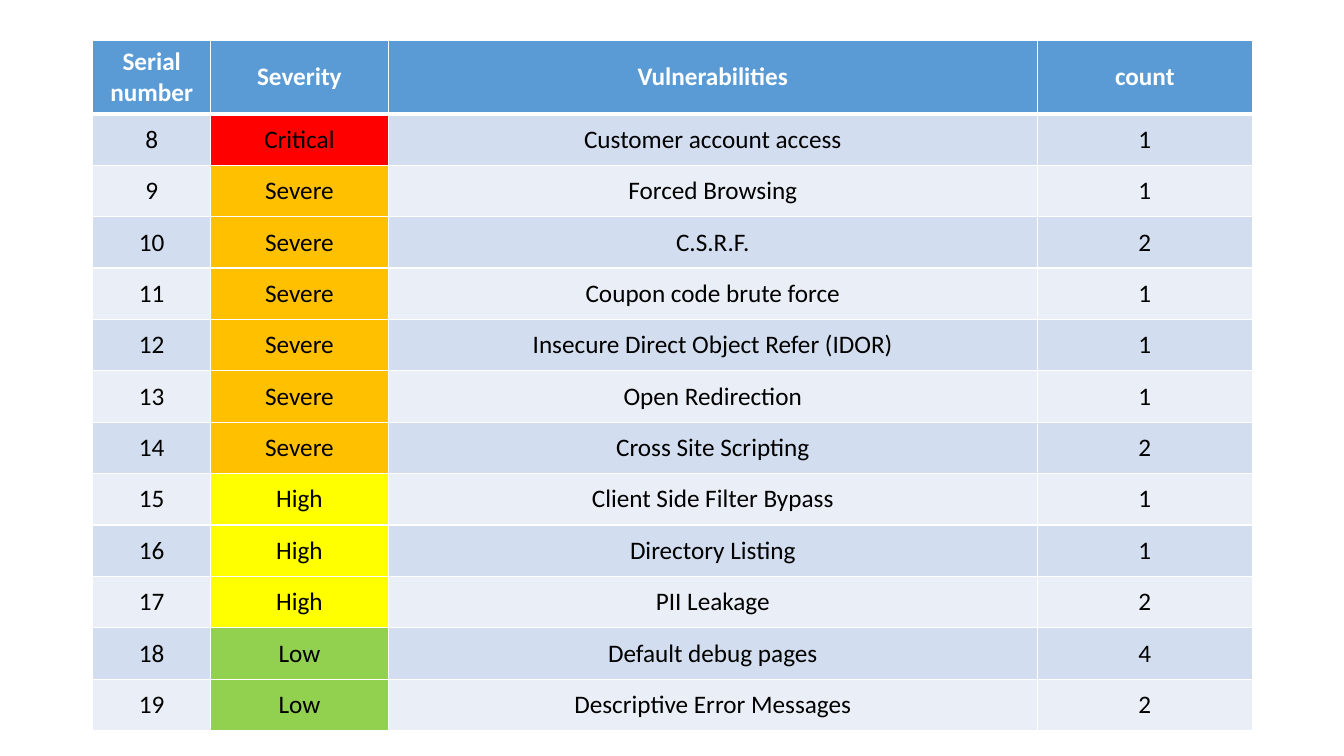
from lxml import etree
from pptx import Presentation
from pptx import util as u
from pptx.dml.color import RGBColor
from pptx.enum import text
from pptx.oxml import ns

PX = 9144
COLORS = {
    "header": "5B9BD5",
    "odd": "D2DEEF",
    "even": "EAEFF7",
    "white": "FFFFFF",
    "black": "000000",
    "Critical": "FF0000",
    "Severe": "FFC000",
    "High": "FFFF00",
    "Low": "92D050",
}
HEADINGS = ("Serial number", "Severity", "Vulnerabilities", "count")
FIRST_SERIAL = 8
FINDINGS = [
    ("Critical", "Customer account access", 1),
    ("Severe", "Forced Browsing", 1),
    ("Severe", "C.S.R.F.", 2),
    ("Severe", "Coupon code brute force", 1),
    ("Severe", "Insecure Direct Object Refer (IDOR)", 1),
    ("Severe", "Open Redirection", 1),
    ("Severe", "Cross Site Scripting", 2),
    ("High", "Client Side Filter Bypass", 1),
    ("High", "Directory Listing", 1),
    ("High", "PII Leakage", 2),
    ("Low", "Default debug pages", 4),
    ("Low", "Descriptive Error Messages", 2),
]
COLUMN_WIDTHS = (117, 176, 644, 213)
HEADER_HEIGHT = 73


def px(length):
    return u.Emu(length * PX)


def rgb(name):
    return RGBColor.from_string(COLORS[name])


def set_borders(cell, top, bottom):
    properties = cell._tc.get_or_add_tcPr()
    for side, points in (("L", 1), ("R", 1), ("T", top), ("B", bottom)):
        line = etree.SubElement(properties, ns.qn(f"a:ln{side}"), w=str(u.Pt(points)))
        fill = etree.SubElement(line, ns.qn("a:solidFill"))
        etree.SubElement(fill, ns.qn("a:srgbClr"), val=COLORS["white"])


def fill_cell(cell, content, fill, row):
    is_header = row == 0
    set_borders(cell, top=3 if row == 1 else 1, bottom=3 if is_header else 1)
    cell.fill.solid()
    cell.fill.fore_color.rgb = rgb(fill)
    cell.vertical_anchor = text.MSO_ANCHOR.MIDDLE
    cell.text = str(content)
    paragraph = cell.text_frame.paragraphs[0]
    paragraph.alignment = text.PP_ALIGN.CENTER
    paragraph.font.name = "Calibri"
    paragraph.font.size = u.Pt(18)
    paragraph.font.bold = is_header
    paragraph.font.color.rgb = rgb("white" if is_header else "black")


def add_findings_table(slide, left, top, width, height):
    records = [HEADINGS] + [
        (serial, *finding) for serial, finding in enumerate(FINDINGS, FIRST_SERIAL)
    ]
    table = slide.shapes.add_table(
        len(records), len(HEADINGS), px(left), px(top), px(width), px(height)
    ).table
    for column, column_width in zip(table.columns, COLUMN_WIDTHS):
        column.width = px(column_width)
    body_height = (height - HEADER_HEIGHT) // len(FINDINGS)
    for row, record in enumerate(records):
        table.rows[row].height = px(body_height if row else HEADER_HEIGHT)
        band = "header" if row == 0 else "odd" if row % 2 else "even"
        for column, content in enumerate(record):
            fill = record[1] if row and column == 1 else band
            fill_cell(table.cell(row, column), content, fill, row)


def main():
    presentation = Presentation()
    presentation.slide_width = px(1333)
    presentation.slide_height = px(750)
    slide = presentation.slides.add_slide(presentation.slide_layouts[6])
    add_findings_table(slide, 92, 40, 1150, 685)
    presentation.save("out.pptx")


if __name__ == "__main__":
    main()
